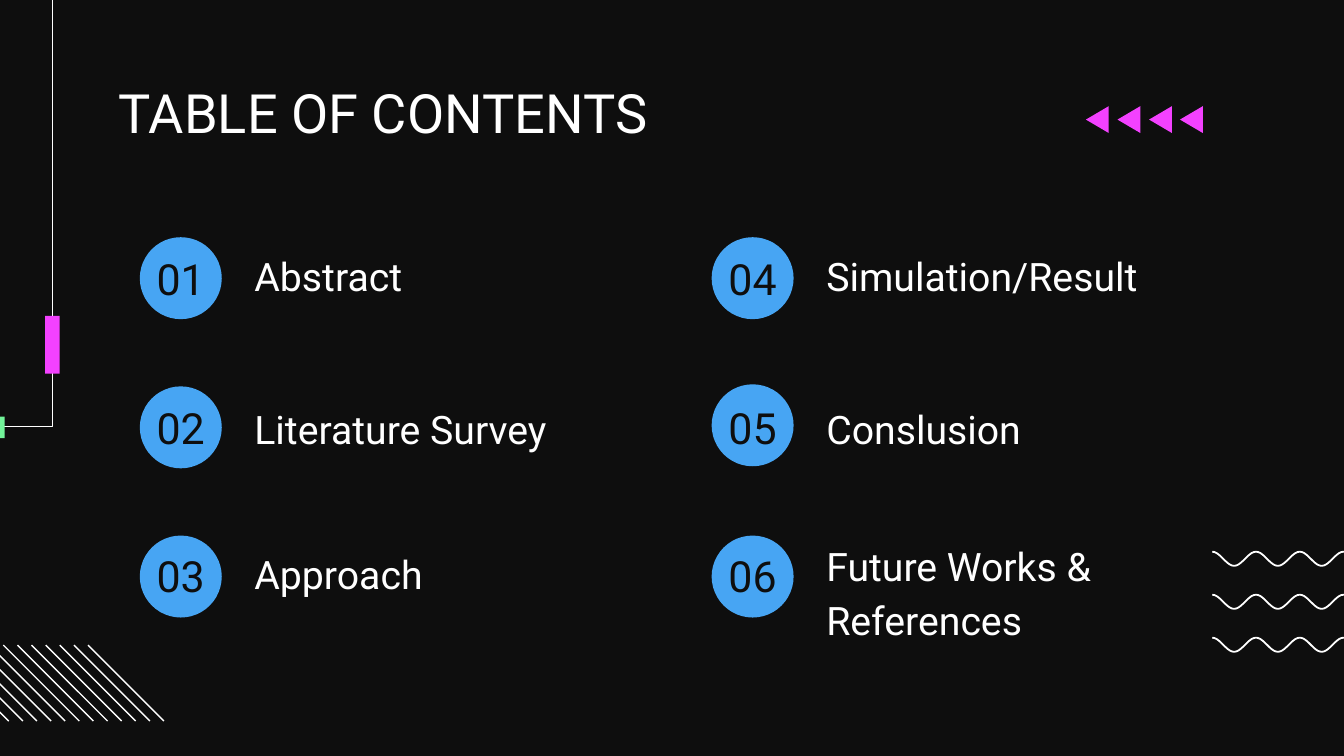
"""Build a dark table-of-contents slide with six numbered entries."""
from dataclasses import dataclass
from math import cos, pi

from lxml import etree
from pptx import Presentation
from pptx import util as u
from pptx.dml import color
from pptx.enum import shapes, text
from pptx.oxml import ns

SCALE = 4572
FONT = "Roboto"
COLORS = {
    "night": "0E0E0E",
    "white": "FFFFFF",
    "blue": "47A5F3",
    "pink": "F341FF",
    "green": "72F49A",
}
BADGE = 122
NUMBER_WIDTH = 180
COLUMNS = (179, 1030)


@dataclass(frozen=True)
class Box:
    left: int
    top: int
    width: int
    height: int


@dataclass(frozen=True)
class Style:
    size: int
    color: str
    inset: int = 0
    align: text.PP_ALIGN = text.PP_ALIGN.LEFT
    spacing: float = 1.0


@dataclass(frozen=True)
class Entry:
    number: str
    label: str
    column: int
    badge_top: int
    number_top: int
    label_top: int
    label_height: int = 110


TITLE = Style(29, "white")
NUMBER = Style(23, "night", inset=40, align=text.PP_ALIGN.CENTER)
LABEL = Style(21, "white", spacing=1.15)

ENTRIES = (
    Entry("01", "Abstract", 0, 353, 336, 365),
    Entry("02", "Literature Survey", 0, 575, 558, 593),
    Entry("03", "Approach", 0, 797, 778, 809),
    Entry("04", "Simulation/Result", 1, 353, 336, 365),
    Entry("05", "Conslusion", 1, 572, 558, 593),
    Entry("06", "Future Works & References", 1, 797, 778, 797, 142),
)


def px(length: float) -> int:
    """Turn pixels into EMU."""
    return round(length * SCALE)


def rgb(name: str) -> color.RGBColor:
    """Look up a palette colour."""
    return color.RGBColor.from_string(COLORS[name])


def paint(shape, fill: str) -> None:
    """Give a shape a flat fill without outline or shadow."""
    shape.shadow.inherit = False
    shape.fill.solid()
    shape.fill.fore_color.rgb = rgb(fill)
    shape.line.fill.background()


def stroke(line, width: float) -> None:
    """Make a line white at the given width in points."""
    line.color.rgb = rgb("white")
    line.width = u.Pt(width)


def add_preset(page, kind, box: Box, fill: str) -> None:
    """Draw a flat preset shape."""
    shape = page.shapes.add_shape(
        kind, px(box.left), px(box.top), px(box.width), px(box.height))
    paint(shape, fill)


def add_outline(page, points: list, closed: bool):
    """Draw a freeform through the given pixel points."""
    start, *rest = [(px(x), px(y)) for x, y in points]
    builder = page.shapes.build_freeform(*start)
    builder.add_line_segments(rest, close=closed)
    return builder.convert_to_shape()


def add_path(page, points: list, width: float) -> None:
    """Draw an open white path."""
    shape = add_outline(page, points, False)
    shape.shadow.inherit = False
    shape.fill.background()
    stroke(shape.line, width)


def add_wave(page, left: int, top: int) -> None:
    """Draw a wavy line of seven half periods."""
    steps = 10
    half_periods, width, height = 7, 228, 21
    total = half_periods * steps
    points = [
        (left + width * i / total, top + height * (1 - cos(pi * i / steps)) / 2)
        for i in range(total + 1)
    ]
    add_path(page, points, 0.95)


def add_diagonal(page, left: int, top: int, size: int) -> None:
    """Draw a white line falling at 45 degrees."""
    line = page.shapes.add_connector(
        shapes.MSO_CONNECTOR.STRAIGHT,
        px(left), px(top), px(left + size), px(top + size))
    stroke(line.line, 0.75)
    etree.SubElement(line._element.spPr, ns.qn("a:effectLst"))


def add_arrow(page, left: int) -> None:
    """Draw a pink triangle pointing left."""
    points = [(left + 34, 158), (left, 178), (left + 34, 198)]
    paint(add_outline(page, points, True), "pink")


def add_text(page, content: str, box: Box, style: Style) -> None:
    """Place one wrapped paragraph of text."""
    frame = page.shapes.add_textbox(
        px(box.left), px(box.top), px(box.width), px(box.height)).text_frame
    frame.word_wrap = True
    frame.vertical_anchor = text.MSO_ANCHOR.TOP
    frame.margin_left = frame.margin_right = frame.margin_bottom = px(20)
    frame.margin_top = px(style.inset)
    para = frame.paragraphs[0]
    para.text = content
    para.alignment = style.align
    para.line_spacing = style.spacing
    para.font.name = FONT
    para.font.size = u.Pt(style.size)
    para.font.color.rgb = rgb(style.color)


def add_entry(page, entry: Entry) -> None:
    """Draw a numbered badge with its label."""
    left = COLUMNS[entry.column]
    badge_left = left + (NUMBER_WIDTH - BADGE) // 2
    add_preset(page, shapes.MSO_SHAPE.OVAL,
               Box(badge_left, entry.badge_top, BADGE, BADGE), "blue")
    add_text(page, entry.number,
             Box(left, entry.number_top, NUMBER_WIDTH, 122), NUMBER)
    add_text(page, entry.label,
             Box(left + NUMBER_WIDTH, entry.label_top, 632, entry.label_height),
             LABEL)


def add_decoration(page) -> None:
    """Draw the waves, the hatching and the corner line."""
    for row in range(3):
        add_wave(page, 1804, 821 + 64 * row)
    for i in range(12):
        add_diagonal(page, -100 + 21 * i, 960, 113)
    add_path(page, [(-786, 635), (78, 635), (78, -44)], 0.75)
    add_preset(page, shapes.MSO_SHAPE.RECTANGLE, Box(-24, 620, 31, 32), "green")
    add_preset(page, shapes.MSO_SHAPE.RECTANGLE, Box(67, 470, 22, 86), "pink")


def main() -> None:
    """Build and save the deck."""
    deck = Presentation()
    deck.slide_width, deck.slide_height = px(2000), px(1125)
    page = deck.slides.add_slide(deck.slide_layouts[6])
    page.background.fill.solid()
    page.background.fill.fore_color.rgb = rgb("night")
    add_decoration(page)
    add_text(page, "TABLE OF CONTENTS", Box(157, 118, 1688, 92), TITLE)
    for entry in ENTRIES:
        add_entry(page, entry)
    for i in range(4):
        add_arrow(page, 1756 - 140 * i // 3)
    deck.save("out.pptx")


if __name__ == "__main__":
    main()
